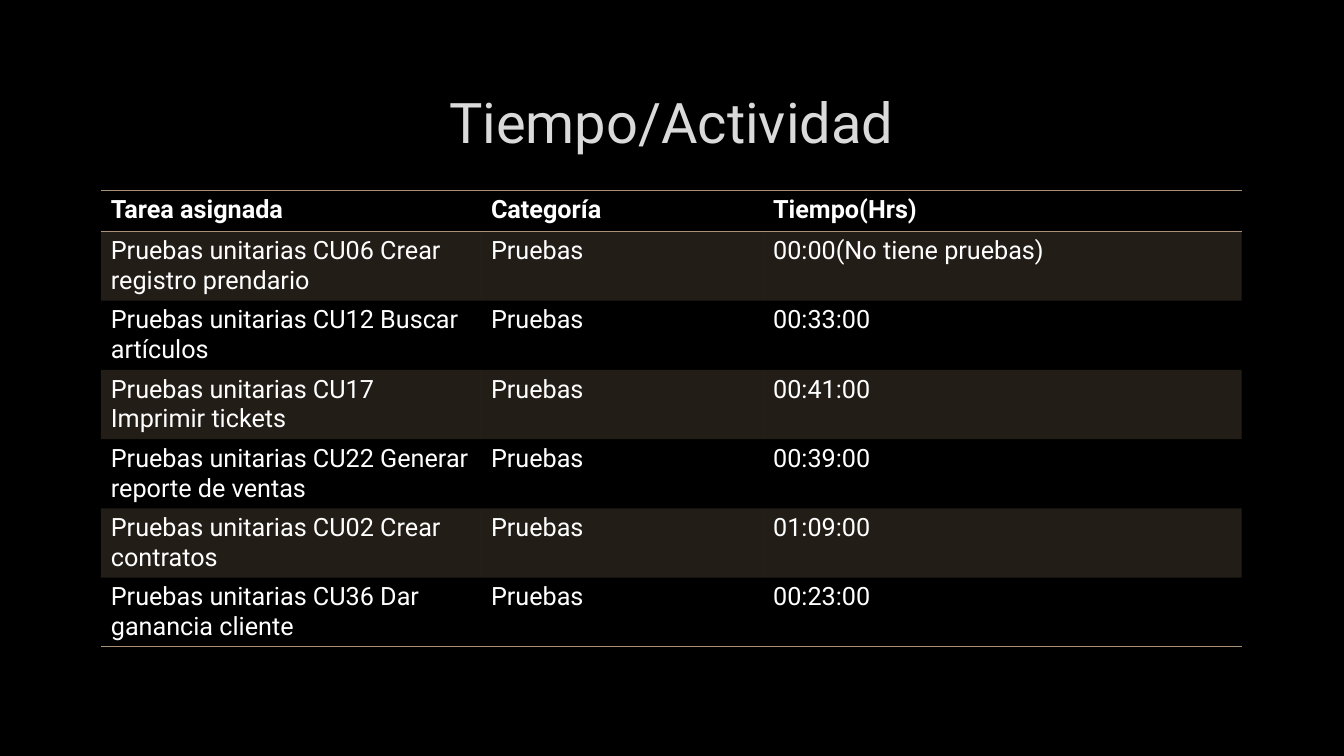
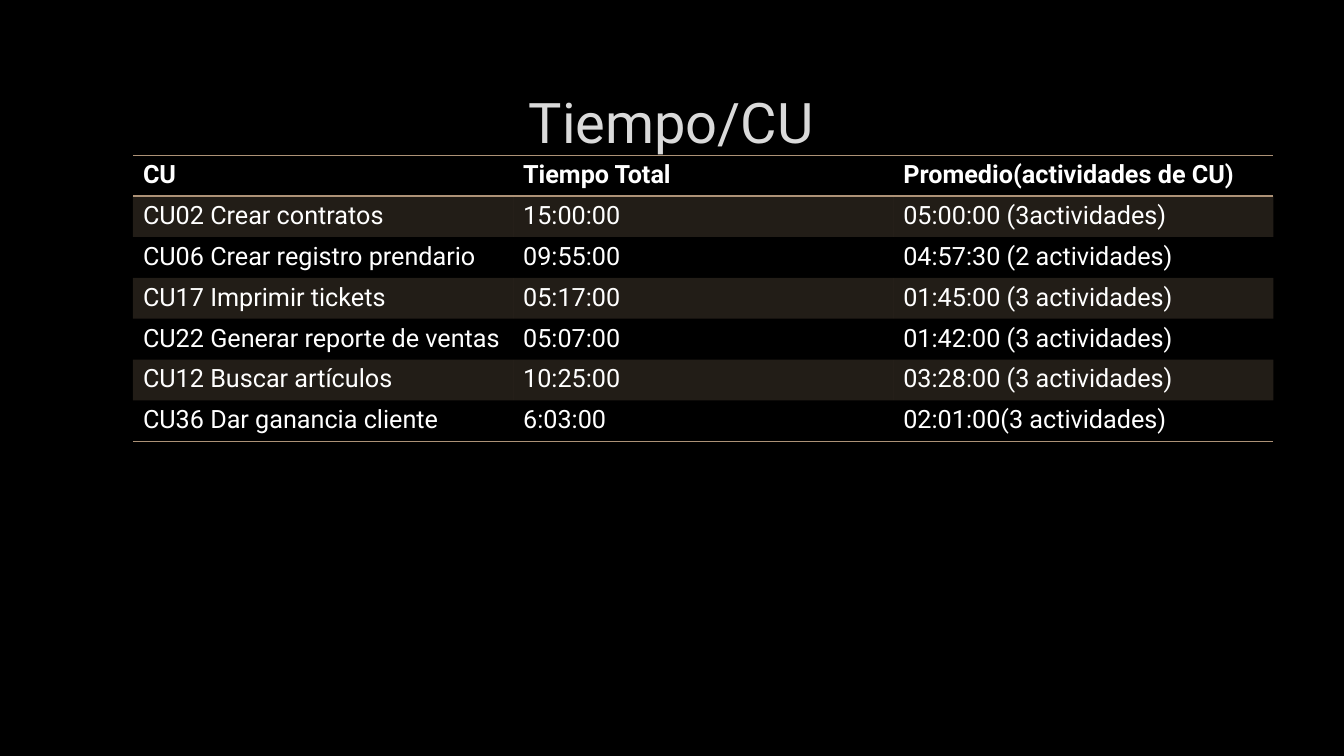
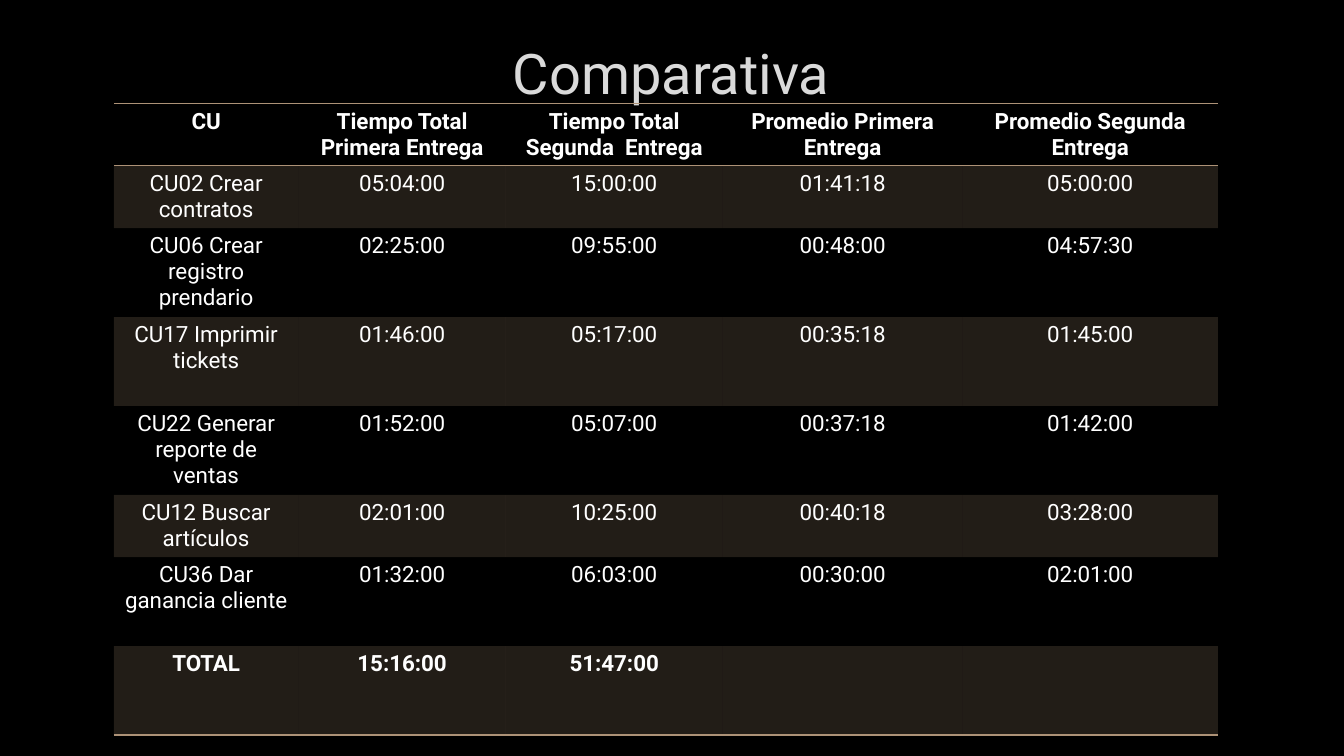
from lxml import etree
from pptx import Presentation
from pptx import util as u
from pptx.dml.color import RGBColor
from pptx.enum import text
from pptx.oxml import ns

NO_STYLE = "{2D5ABB26-0587-4C30-8999-92F81FD0307C}"


def color(value):
    return RGBColor.from_string(value)


def line_xml(tag, value, points, alpha=100):
    """Return a line element, used for cell borders and text outlines."""
    line = etree.Element(ns.qn(tag), w=str(u.Pt(points)))
    fill = etree.SubElement(line, ns.qn("a:solidFill"))
    rgb = etree.SubElement(fill, ns.qn("a:srgbClr"), val=value)
    etree.SubElement(rgb, ns.qn("a:alpha"), val=str(alpha * 1000))
    return line


class Deck:
    FONT = "Roboto"
    BACKGROUND = "000000"
    TITLE = "DADADA"
    OUTLINE = "404040"
    TEXT = "FFFFFF"
    ACCENT = "AD9277"
    BAND_ALPHA = 20

    def __init__(self):
        self.presentation = Presentation()
        self.presentation.slide_width = u.Cm(33.87)
        self.presentation.slide_height = u.Cm(19.05)
        fill = self.presentation.slide_master.background.fill
        fill.solid()
        fill.fore_color.rgb = color(self.BACKGROUND)
        self.slide = None

    def style_run(self, run, size, value, bold=False):
        run.font.name = self.FONT
        run.font.size = u.Pt(size)
        run.font.bold = bold
        run.font.color.rgb = color(value)

    def add_slide(self, title, top=1.7):
        layout = self.presentation.slide_layouts[5]
        self.slide = self.presentation.slides.add_slide(layout)
        shape = self.slide.shapes.title
        shape.left, shape.top = u.Cm(2.54), u.Cm(top)
        shape.width, shape.height = u.Cm(28.75), u.Cm(2.69)
        frame = shape.text_frame
        frame.text = title
        frame.auto_size = text.MSO_AUTO_SIZE.NONE
        frame.vertical_anchor = text.MSO_ANCHOR.MIDDLE
        paragraph = frame.paragraphs[0]
        paragraph.alignment = text.PP_ALIGN.CENTER
        run = paragraph.runs[0]
        self.style_run(run, 40, self.TITLE)
        outline = line_xml("a:ln", self.OUTLINE, 0.75, alpha=10)
        run.font._element.insert(0, outline)

    def add_table(self, left, top, widths, heights, rows, size=18,
                  align=text.PP_ALIGN.LEFT, total=False):
        frame = self.slide.shapes.add_table(
            len(rows), len(widths), u.Cm(left), u.Cm(top),
            u.Cm(sum(widths)), u.Cm(sum(heights)))
        table = frame.table
        table._tbl.tblPr.find(ns.qn("a:tableStyleId")).text = NO_STYLE
        for column, width in zip(table.columns, widths):
            column.width = u.Cm(width)
        for row, height in zip(table.rows, heights):
            row.height = u.Cm(height)

        last = len(rows) - 1
        for i, values in enumerate(rows):
            bold = i == 0 or (total and i == last)
            sides = {0: ["a:lnT", "a:lnB"], last: ["a:lnB"]}.get(i, [])
            for j, value in enumerate(values):
                cell = table.cell(i, j)
                self.fill_cell(cell, banded=i % 2 == 1)
                self.border_cell(cell, sides)
                cell.text = value
                paragraph = cell.text_frame.paragraphs[0]
                paragraph.alignment = align
                for run in paragraph.runs:
                    self.style_run(run, size, self.TEXT, bold)

    def fill_cell(self, cell, banded):
        if not banded:
            cell.fill.background()
            return
        cell.fill.solid()
        cell.fill.fore_color.rgb = color(self.ACCENT)
        rgb = cell._tc.tcPr.find(".//" + ns.qn("a:srgbClr"))
        etree.SubElement(rgb, ns.qn("a:alpha"), val=str(self.BAND_ALPHA * 1000))

    def border_cell(self, cell, sides):
        for position, side in enumerate(sides):
            cell._tc.tcPr.insert(position, line_xml(side, self.ACCENT, 1))

    def save(self):
        self.presentation.save("out.pptx")


def main():
    deck = Deck()

    # Time per activity
    tasks = [
        ("CU06 Crear registro prendario", "00:00(No tiene pruebas)"),
        ("CU12 Buscar artículos", "00:33:00"),
        ("CU17 Imprimir tickets", "00:41:00"),
        ("CU22 Generar reporte de ventas", "00:39:00"),
        ("CU02 Crear contratos", "01:09:00"),
        ("CU36 Dar ganancia cliente", "00:23:00"),
    ]
    rows = [("Tarea asignada", "Categoría", "Tiempo(Hrs)")]
    rows += [("Pruebas unitarias " + task, "Pruebas", time) for task, time in tasks]
    deck.add_slide("Tiempo/Actividad")
    deck.add_table(2.54, 4.8, [9.58, 7.11, 12.06], [1.03] + [1.74] * 6, rows)

    # Time per use case
    deck.add_slide("Tiempo/CU")
    deck.add_table(3.35, 3.91, [9.58] * 3, [1.03] * 7, [
        ("CU", "Tiempo Total", "Promedio(actividades de CU)"),
        ("CU02 Crear contratos", "15:00:00", "05:00:00 (3actividades)"),
        ("CU06 Crear registro prendario", "09:55:00", "04:57:30 (2 actividades)"),
        ("CU17 Imprimir tickets", "05:17:00", "01:45:00 (3 actividades)"),
        ("CU22 Generar reporte de ventas", "05:07:00", "01:42:00 (3 actividades)"),
        ("CU12 Buscar artículos", "10:25:00", "03:28:00 (3 actividades)"),
        ("CU36 Dar ganancia cliente", "6:03:00", "02:01:00(3 actividades)"),
    ])

    # Comparison of both deliveries
    short, tall = 1.57, 2.24
    deck.add_slide("Comparativa", top=0.48)
    deck.add_table(
        2.87, 2.61, [4.65, 5.23, 5.46, 6.05, 6.43],
        [short, short, tall, tall, tall, short, tall, tall], [
            ("CU", "Tiempo Total Primera Entrega", "Tiempo Total Segunda  Entrega",
             "Promedio Primera Entrega", "Promedio Segunda Entrega"),
            ("CU02 Crear contratos", "05:04:00", "15:00:00", "01:41:18", "05:00:00"),
            ("CU06 Crear registro prendario", "02:25:00", "09:55:00", "00:48:00", "04:57:30"),
            ("CU17 Imprimir tickets", "01:46:00", "05:17:00", "00:35:18", "01:45:00"),
            ("CU22 Generar reporte de ventas", "01:52:00", "05:07:00", "00:37:18", "01:42:00"),
            ("CU12 Buscar artículos", "02:01:00", "10:25:00", "00:40:18", "03:28:00"),
            ("CU36 Dar ganancia cliente", "01:32:00", "06:03:00", "00:30:00", "02:01:00"),
            ("TOTAL", "15:16:00", "51:47:00", "", ""),
        ], size=16, align=text.PP_ALIGN.CENTER, total=True)

    deck.save()


if __name__ == "__main__":
    main()
